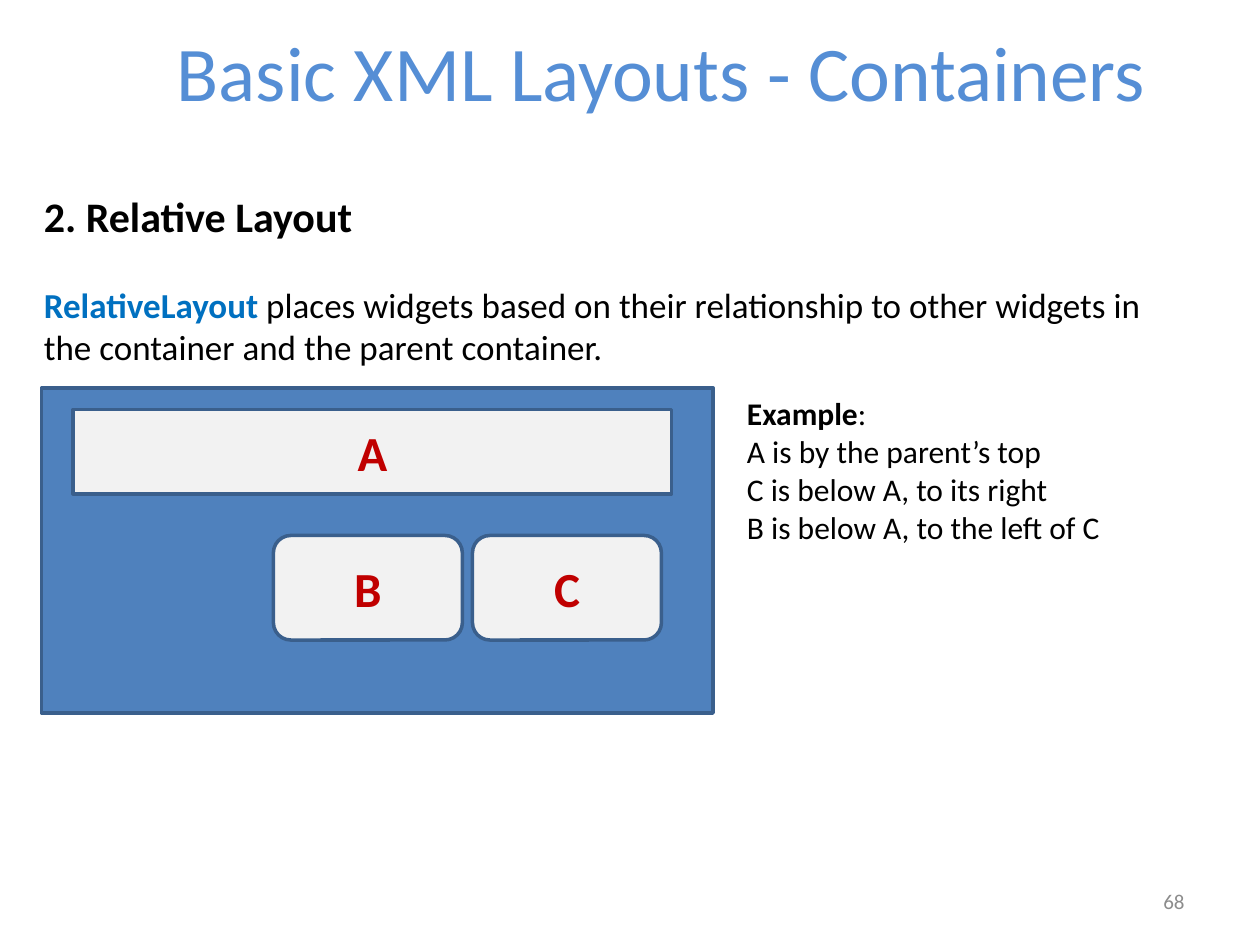
from pptx import Presentation
from pptx.dml.color import RGBColor
from pptx.enum.shapes import MSO_SHAPE
from pptx.enum.text import MSO_ANCHOR, PP_ALIGN
from pptx.util import Inches, Pt

RECTANGLE = MSO_SHAPE.RECTANGLE
ROUNDED = MSO_SHAPE.ROUNDED_RECTANGLE
MIDDLE = MSO_ANCHOR.MIDDLE
LEFT, CENTER, RIGHT = PP_ALIGN.LEFT, PP_ALIGN.CENTER, PP_ALIGN.RIGHT

TITLE_BLUE = RGBColor(0x55, 0x8E, 0xD5)
TERM_BLUE = RGBColor(0x00, 0x70, 0xC0)
PARENT_BLUE = RGBColor(0x4F, 0x81, 0xBD)
OUTLINE_BLUE = RGBColor(0x3A, 0x5F, 0x8C)
WIDGET_GRAY = RGBColor(0xF2, 0xF2, 0xF2)
NUMBER_GRAY = RGBColor(0x8C, 0x8C, 0x8C)
LABEL_RED = RGBColor(0xC0, 0x00, 0x00)
BLACK = RGBColor(0x00, 0x00, 0x00)

presentation = Presentation()
presentation.slide_width = Inches(10)
presentation.slide_height = Inches(7.5)
slide = presentation.slides.add_slide(presentation.slide_layouts[6])


def add_text_frame(left, top, width, height):
    box = slide.shapes.add_textbox(
        Inches(left), Inches(top), Inches(width), Inches(height))
    box.text_frame.word_wrap = True
    return box.text_frame


def style_paragraph(paragraph, size, color, bold=None, alignment=LEFT):
    paragraph.alignment = alignment
    paragraph.font.name = "Calibri"
    paragraph.font.size = Pt(size)
    paragraph.font.color.rgb = color
    paragraph.font.bold = bold


title = add_text_frame(0.33, 0.05, 9, 0.95)
title.margin_left = Inches(0.93)
title.margin_top = Inches(0.14)
title.text = "Basic XML Layouts - Containers"
style_paragraph(title.paragraphs[0], 44.2, TITLE_BLUE, alignment=CENTER)

number = add_text_frame(7.17, 6.95, 2.33, 0.4)
number.vertical_anchor = MIDDLE
number.text = "68"
style_paragraph(number.paragraphs[0], 12, NUMBER_GRAY, alignment=RIGHT)

body = add_text_frame(0.25, 1.46, 9.17, 2.19)
body.text = "2. Relative Layout"
style_paragraph(body.paragraphs[0], 24, BLACK, bold=True)
description = body.add_paragraph()
description.space_before = Pt(24.4)
style_paragraph(description, 20, BLACK)
term = description.add_run()
term.text = "RelativeLayout"
term.font.bold = True
term.font.color.rgb = TERM_BLUE
description.add_run().text = (
    " places widgets based on their relationship to other widgets in "
    "the container and the parent container.")

layout_group = slide.shapes.add_group_shape()
for label, kind, fill, left, top, width, height in [
    ("", RECTANGLE, PARENT_BLUE, 0.33, 3.08, 5.33, 2.58),
    ("A", RECTANGLE, WIDGET_GRAY, 0.58, 3.25, 4.75, 0.67),
    ("C", ROUNDED, WIDGET_GRAY, 3.75, 4.25, 1.5, 0.83),
    ("B", ROUNDED, WIDGET_GRAY, 2.17, 4.25, 1.5, 0.83),
]:
    shape = layout_group.shapes.add_shape(
        kind, Inches(left), Inches(top), Inches(width), Inches(height))
    shape.shadow.inherit = False
    shape.fill.solid()
    shape.fill.fore_color.rgb = fill
    shape.line.color.rgb = OUTLINE_BLUE
    shape.line.width = Pt(2)
    if label:
        shape.text_frame.text = label
        shape.text_frame.vertical_anchor = MIDDLE
        style_paragraph(shape.text_frame.paragraphs[0], 28, LABEL_RED,
                        bold=True, alignment=CENTER)

example = add_text_frame(5.83, 3.08, 3.33, 1.31)
heading = example.paragraphs[0]
style_paragraph(heading, 18, BLACK)
heading_word = heading.add_run()
heading_word.text = "Example"
heading_word.font.bold = True
heading.add_run().text = ":"
for rule in [
    "A is by the parent’s top",
    "C is below A, to its right",
    "B is below A, to the left of C",
]:
    paragraph = example.add_paragraph()
    paragraph.text = rule
    style_paragraph(paragraph, 18, BLACK)

presentation.save("out.pptx")
